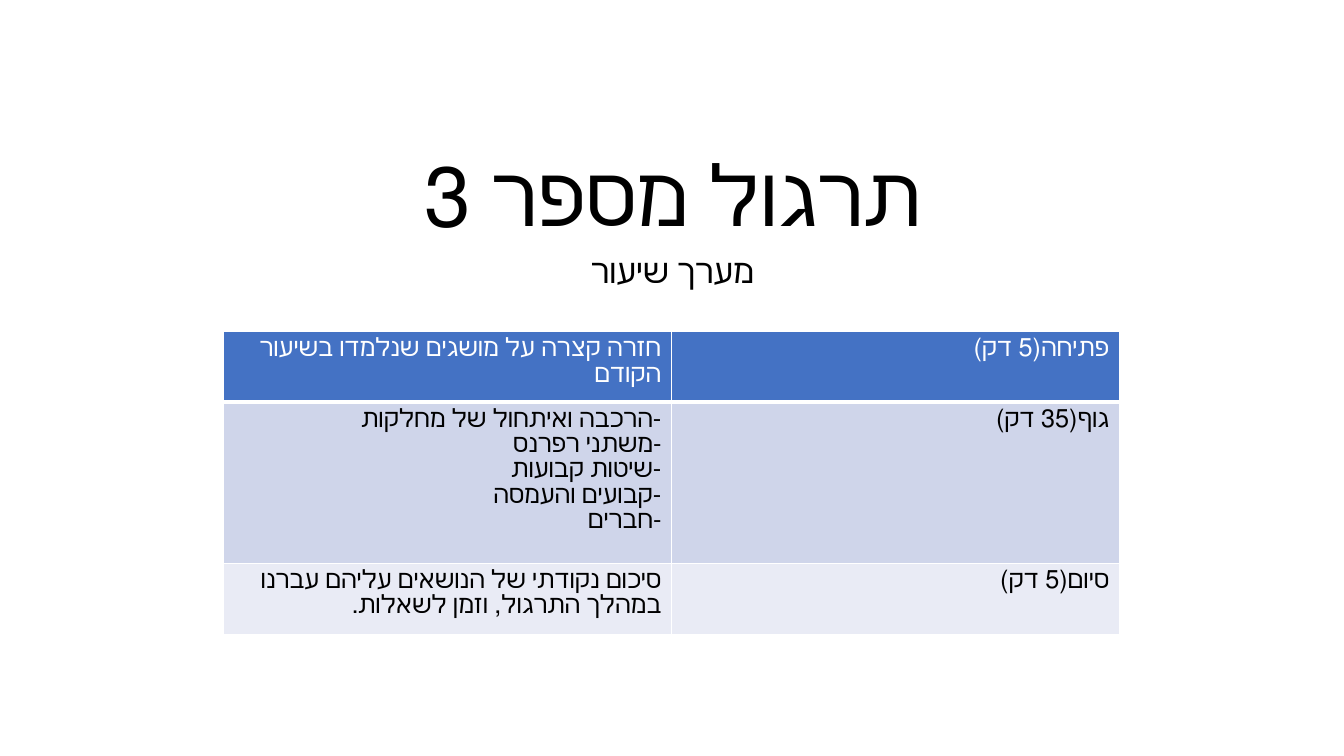
from lxml import etree
from pptx import Presentation
from pptx.dml.color import RGBColor
from pptx.enum.text import MSO_ANCHOR, PP_ALIGN
from pptx.oxml.ns import qn
from pptx.util import Inches, Pt

CENTER, RIGHT = PP_ALIGN.CENTER, PP_ALIGN.RIGHT
TOP, BOTTOM = MSO_ANCHOR.TOP, MSO_ANCHOR.BOTTOM
FONT = "Calibri"
BLACK, WHITE = "000000", "FFFFFF"

# Content: heading text, box, size, anchor, space before
HEADINGS = [
    ("תרגול מספר 3", (1.67, -0.13, 10, 2.61), 60, BOTTOM, 0),
    ("מערך שיעור", (1.67, 2.48, 10, 1.81), 24, TOP, 10),
]

# Lesson parts: activity lines, stage, row height, fill, text colour
LESSON = [
    (["חזרה קצרה על מושגים שנלמדו בשיעור הקודם"],
     "פתיחה(5 דק)", 0.6, "4472C4", WHITE),
    (["-הרכבה ואיתחול של מחלקות", "-משתני רפרנס", "-שיטות קבועות",
      "-קבועים והעמסה", "-חברים"],
     "גוף(35 דק)", 1.6, "CFD5EA", BLACK),
    (["סיכום נקודתי של הנושאים עליהם עברנו במהלך התרגול, וזמן לשאלות."],
     "סיום(5 דק)", 0.6, "E9EBF5", BLACK),
]
TABLE_LEFT, TABLE_TOP, COLUMN_WIDTH = 2.22, 3.29, 4.44


def rgb(value):
    return RGBColor.from_string(value)


def write_rtl(frame, lines, size, color, align, **spacing):
    """Write lines as one right-to-left paragraph with line breaks."""
    paragraph = frame.paragraphs[0]
    for name, value in {"alignment": align, **spacing}.items():
        setattr(paragraph, name, value)
    paragraph._p.get_or_add_pPr().set("rtl", "1")
    for index, line in enumerate(lines):
        if index:
            paragraph.add_line_break()
        run = paragraph.add_run()
        run.text = line
        formats = {"name": FONT, "size": Pt(size), "bold": False}
        for name, value in formats.items():
            setattr(run.font, name, value)
        run.font.color.rgb = rgb(color)


def add_borders(cell, bottom_width):
    properties = cell._tc.get_or_add_tcPr()
    widths = {"a:lnL": 1, "a:lnR": 1, "a:lnT": 1, "a:lnB": bottom_width}
    for tag, width in widths.items():
        border = etree.SubElement(properties, qn(tag), w=str(Pt(width)))
        fill = etree.SubElement(border, qn("a:solidFill"))
        etree.SubElement(fill, qn("a:srgbClr"), val=WHITE)


prs = Presentation()
prs.slide_width, prs.slide_height = Inches(13.33), Inches(7.5)
slide = prs.slides.add_slide(prs.slide_layouts[6])

# Title and subtitle
for heading, box, size, anchor, before in HEADINGS:
    frame = slide.shapes.add_textbox(*map(Inches, box)).text_frame
    frame.word_wrap = True
    frame.vertical_anchor = anchor
    write_rtl(frame, [heading], size, BLACK, CENTER,
              line_spacing=0.9, space_before=Pt(before))

# Lesson plan table
table_height = sum(part[2] for part in LESSON)
plan = slide.shapes.add_table(
    len(LESSON), 2, Inches(TABLE_LEFT), Inches(TABLE_TOP),
    Inches(2 * COLUMN_WIDTH), Inches(table_height)).table
for column in plan.columns:
    column.width = Inches(COLUMN_WIDTH)

for row, (activity, stage, height, fill, color) in enumerate(LESSON):
    plan.rows[row].height = Inches(height)
    for column, lines in enumerate((activity, [stage])):
        cell = plan.cell(row, column)
        add_borders(cell, 3 if row == 0 else 1)
        cell.fill.solid()
        cell.fill.fore_color.rgb = rgb(fill)
        write_rtl(cell.text_frame, lines, 18, color, RIGHT)

prs.save("out.pptx")
